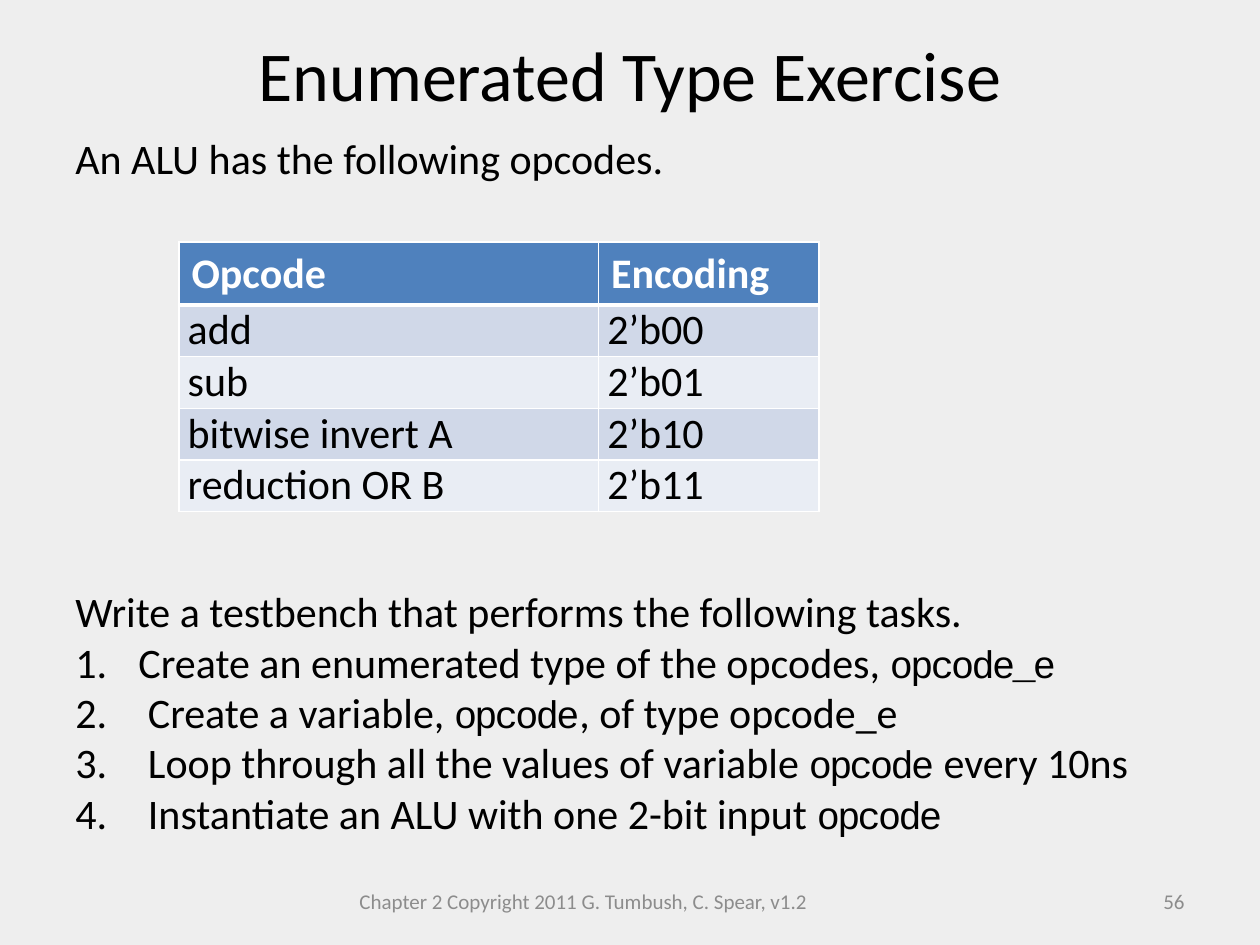
from lxml.etree import SubElement
from pptx import Presentation
from pptx.dml.color import RGBColor
from pptx.enum.text import MSO_ANCHOR, PP_ALIGN
from pptx.oxml.ns import qn
from pptx.util import Inches, Pt

TITLE = "Enumerated Type Exercise"
INTRO = "An ALU has the following opcodes."
TASK_HEADING = "Write a testbench that performs the following tasks."
TASKS = [
    [("Create an enumerated type of the opcodes, ", False), ("opcode_e", True)],
    [(" Create a variable, ", False), ("opcode", True), (", of type opcode_e", False)],
    [(" Loop through all the values of variable ", False), ("opcode", True), (" every 10ns", False)],
    [(" Instantiate an ALU with one 2-bit input ", False), ("opcode", True)],
]
OPCODES = [
    ("Opcode", "Encoding"),
    ("add", "2’b00"),
    ("sub", "2’b01"),
    ("bitwise invert A", "2’b10"),
    ("reduction OR B", "2’b11"),
]
COPYRIGHT = "Chapter 2 Copyright 2011 G. Tumbush, C. Spear, v1.2"
PAGE = "56"

COLUMN_WIDTHS = (3.33, 1.75)
HEADER_HEIGHT, ROW_HEIGHT = 0.5, 0.41
BLACK, WHITE, GREY = "000000", "FFFFFF", "8C8C8C"
HEADER_FILL, BAND_FILLS = "4F81BD", ("D0D8E8", "E9EDF4")


def color(target, value):
    target.rgb = RGBColor.from_string(value)


def add_run(paragraph, text, size=24, ink=BLACK, bold=False, face="Calibri"):
    run = paragraph.add_run()
    run.text = text
    run.font.size = Pt(size)
    run.font.name = face
    run.font.bold = bold
    color(run.font.color, ink)
    return run


def add_code(paragraph, text):
    run = add_run(paragraph, text, 22, face="Courier New")
    run.font._element.set("spc", "-150")


def add_box(slide, left, top, width, height, anchor=MSO_ANCHOR.TOP):
    frame = slide.shapes.add_textbox(*map(Inches, (left, top, width, height))).text_frame
    frame.word_wrap = True
    frame.vertical_anchor = anchor
    return frame


def add_footer(slide, text, left, width, align):
    paragraph = add_box(slide, left, 6.95, width, 0.4, MSO_ANCHOR.MIDDLE).paragraphs[0]
    paragraph.alignment = align
    add_run(paragraph, text, 12, GREY)


def number(paragraph):
    properties = paragraph._p.get_or_add_pPr()
    properties.set("marL", str(Inches(0.5)))
    properties.set("indent", str(-Inches(0.5)))
    SubElement(properties, qn("a:buFont"), typeface="+mj-lt")
    SubElement(properties, qn("a:buAutoNum"), type="arabicPeriod")


def set_borders(cell, bottom):
    properties = cell._tc.get_or_add_tcPr()
    for place, (side, points) in enumerate((("L", 1), ("R", 1), ("T", 1), ("B", bottom))):
        line = SubElement(properties, qn(f"a:ln{side}"), w=str(Pt(points)))
        SubElement(SubElement(line, qn("a:solidFill")), qn("a:srgbClr"), val=WHITE)
        properties.insert(place, line)


def add_opcode_table(slide):
    heights = [HEADER_HEIGHT] + [ROW_HEIGHT] * (len(OPCODES) - 1)
    table = slide.shapes.add_table(
        len(OPCODES), len(COLUMN_WIDTHS), Inches(1.42), Inches(1.92),
        Inches(sum(COLUMN_WIDTHS)), Inches(sum(heights))).table
    for column, width in zip(table.columns, COLUMN_WIDTHS):
        column.width = Inches(width)
    for row_index, (row, height, entries) in enumerate(zip(table.rows, heights, OPCODES)):
        row.height = Inches(height)
        header = row_index == 0
        for cell, entry in zip(row.cells, entries):
            cell.fill.solid()
            color(cell.fill.fore_color, HEADER_FILL if header else BAND_FILLS[(row_index - 1) % 2])
            if not header:
                cell.margin_left = cell.margin_right = Inches(0.07)
                cell.margin_top = cell.margin_bottom = 0
            set_borders(cell, 3 if row_index < 1 else 1)
            if row_index == 1:
                cell._tc.tcPr.find(qn("a:lnT")).set("w", str(Pt(3)))
            add_run(cell.text_frame.paragraphs[0], entry, ink=WHITE if header else BLACK, bold=header)


def main():
    deck = Presentation()
    deck.slide_width, deck.slide_height = Inches(10), Inches(7.5)
    slide = deck.slides.add_slide(deck.slide_layouts[5])
    slide.background.fill.solid()
    color(slide.background.fill.fore_color, "EEEEEE")

    title = slide.shapes.title
    title.left, title.top, title.width, title.height = map(Inches, (0.5, 0, 9, 1.17))
    title.text_frame.vertical_anchor = MSO_ANCHOR.MIDDLE
    heading = title.text_frame.paragraphs[0]
    heading.alignment = PP_ALIGN.CENTER
    add_run(heading, TITLE, 40)

    add_run(add_box(slide, 0.5, 1, 9.08, 0.5).paragraphs[0], INTRO)

    exercise = add_box(slide, 0.5, 4.6, 9.08, 2.16)
    add_run(exercise.paragraphs[0], TASK_HEADING)
    for task in TASKS:
        paragraph = exercise.add_paragraph()
        number(paragraph)
        for text, is_code in task:
            (add_code if is_code else add_run)(paragraph, text)

    add_footer(slide, PAGE, 7.17, 2.33, PP_ALIGN.RIGHT)
    add_footer(slide, COPYRIGHT, 2.67, 3.92, PP_ALIGN.CENTER)
    add_opcode_table(slide)
    deck.save("out.pptx")


if __name__ == "__main__":
    main()
